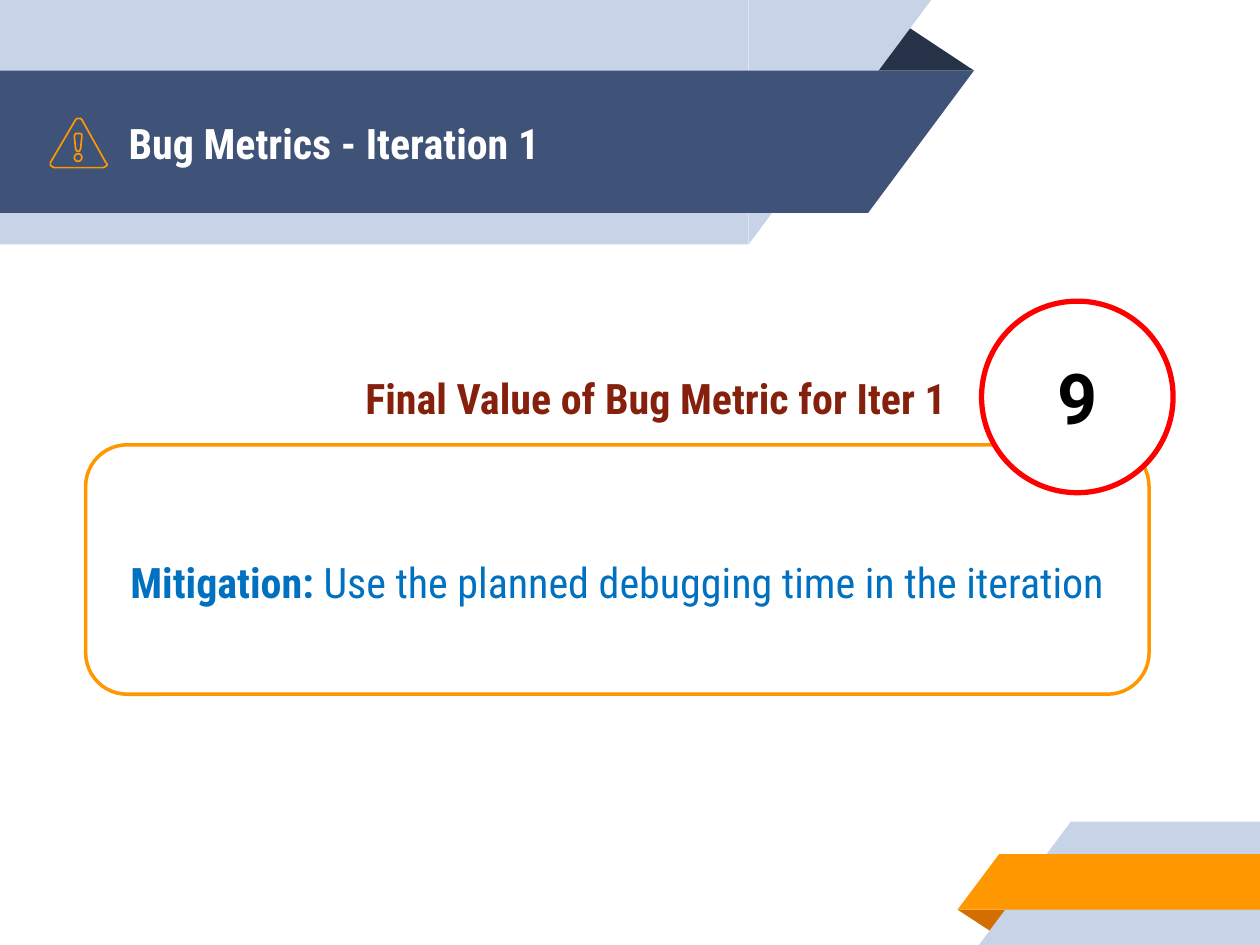
from math import cos, pi, sin

from pptx import Presentation
from pptx.dml.color import RGBColor
from pptx.enum.shapes import MSO_SHAPE
from pptx.enum.text import MSO_ANCHOR, PP_ALIGN
from pptx.util import Inches, Pt

COLORS = {
    "pale": "C7D3E6", "navy": "3F5378", "dark": "263248",
    "orange": "FF9800", "brown": "D26F00", "white": "FFFFFF",
    "blue": "0070C0", "maroon": "85200C", "red": "FF0000", "black": "000000",
}
CONDENSED = "Roboto Condensed"
FOLD_APEX = 0.324


def color(name):
    return RGBColor.from_string(COLORS[name])


def add_shape(slide, kind, box, fill, line=None, line_width=0):
    shape = slide.shapes.add_shape(kind, *map(Inches, box))
    shape.shadow.inherit = False
    shape.fill.solid()
    shape.fill.fore_color.rgb = color(fill)
    if line:
        shape.line.color.rgb = color(line)
        shape.line.width = Pt(line_width)
    else:
        shape.line.fill.background()
    return shape


def add_band(slide, box, slant, fill, from_left):
    """A bar with a slanted inner end, running in from the left or right edge."""
    left, top, width, height = box
    bar_left, slant_left = (left, left + width - slant) if from_left else (left + slant, left)
    bar = add_shape(slide, MSO_SHAPE.RECTANGLE, (bar_left, top, width - slant, height), fill)
    end = add_shape(slide, MSO_SHAPE.RIGHT_TRIANGLE, (slant_left, top, slant, height), fill)
    for part in (bar, end):
        part._element.spPr.xfrm.set("flipH", "1")
        part.rotation = 180 if from_left else 0


def add_fold(slide, box, fill, rotation=0):
    fold = add_shape(slide, MSO_SHAPE.ISOSCELES_TRIANGLE, box, fill)
    fold.adjustments[0] = FOLD_APEX
    fold.rotation = rotation


def write(shape, runs, size, font, ink, align=PP_ALIGN.LEFT,
          anchor=MSO_ANCHOR.MIDDLE, vertical_inset=0.13):
    """Fill a shape with one paragraph of (text, bold) runs."""
    frame = shape.text_frame
    frame.word_wrap = True
    frame.vertical_anchor = anchor
    frame.margin_left = frame.margin_right = Inches(0.13)
    frame.margin_top = frame.margin_bottom = Inches(vertical_inset)
    paragraph = frame.paragraphs[0]
    paragraph.alignment = align
    for text, bold in runs:
        run = paragraph.add_run()
        run.text = text
        run.font.size = Pt(size)
        run.font.name = font
        run.font.bold = bold
        run.font.color.rgb = color(ink)
    return paragraph


def add_text(slide, box, text, ink, anchor):
    text_box = slide.shapes.add_textbox(*map(Inches, box))
    write(text_box, [(text, True)], 24, CONDENSED, ink, anchor=anchor)


def add_warning_icon(slide, box):
    left, top, width, height = box
    triangle = [(0.44, 0.35), (0.25, 0.01), (0.24, 0), (0.21, 0), (0.2, 0.01),
                (0, 0.35), (0, 0.37), (0.01, 0.38), (0.03, 0.39),
                (0.42, 0.39), (0.44, 0.38), (0.45, 0.37), (0.45, 0.36)]
    dot = [(0.22 + 0.03 * cos(step * pi / 8), 0.31 + 0.03 * sin(step * pi / 8))
           for step in range(16)]
    stroke = [(0.25, 0.14), (0.24, 0.24), (0.23, 0.26), (0.21, 0.26), (0.2, 0.24),
              (0.19, 0.14), (0.2, 0.12), (0.21, 0.12), (0.24, 0.12), (0.25, 0.13)]
    outlines = [[(Inches(left + x * width / 0.45), Inches(top + y * height / 0.39))
                 for x, y in outline] for outline in (triangle, dot, stroke)]
    builder = slide.shapes.build_freeform(*outlines[0][0])
    builder.add_line_segments(outlines[0][1:], close=True)
    for outline in outlines[1:]:
        builder.move_to(*outline[0])
        builder.add_line_segments(outline[1:], close=True)
    icon = builder.convert_to_shape()
    icon.shadow.inherit = False
    icon.fill.background()
    icon.line.color.rgb = color("orange")
    icon.line.width = Pt(0.96)


def add_header(slide, box):
    left, top, width, height = box
    add_fold(slide, (left + width - 0.85, top + 0.18, 0.85, 0.38), "dark")
    add_band(slide, (left, top, 7.39, height), 1.45, "pale", from_left=True)
    add_band(slide, (left, top + 0.56, width, 1.13), 0.84, "navy", from_left=True)
    add_text(slide, (left + 0.89, top + 0.57, 6.01, 1.12),
             "Bug Metrics - Iteration 1", "white", MSO_ANCHOR.MIDDLE)
    add_warning_icon(slide, (left + 0.4, top + 0.94, 0.45, 0.39))


def add_corner(slide, box):
    left, top, width, height = box
    add_fold(slide, (left, top + 0.7, 0.43, 0.19), "brown", rotation=180)
    add_band(slide, (left + 0.17, top, width - 0.17, height), 0.73, "pale", from_left=False)
    add_band(slide, (left, top + 0.26, width, 0.44), 0.33, "orange", from_left=False)


def add_metric(slide, box):
    left, top, width, height = box
    card = add_shape(slide, MSO_SHAPE.ROUNDED_RECTANGLE,
                     (left, top + 1.14, 8.44, height - 1.14), "white", "orange", 2)
    paragraph = write(card, [("Mitigation: ", True),
                             ("Use the planned debugging time in the iteration", False)],
                      24, CONDENSED, "blue", PP_ALIGN.CENTER, vertical_inset=0.07)
    paragraph.line_spacing = 1.5
    add_text(slide, (left + 2.09, top + 0.44, 4.9, 0.7),
             "Final Value of Bug Metric for Iter 1", "maroon", MSO_ANCHOR.TOP)
    badge = add_shape(slide, MSO_SHAPE.OVAL,
                      (left + width - 1.52, top, 1.52, 1.52), "white", "red", 3)
    write(badge, [("9", True)], 40, "Roboto", "black", PP_ALIGN.CENTER)


def main():
    presentation = Presentation()
    presentation.slide_width = Inches(10)
    presentation.slide_height = Inches(7.5)
    slide = presentation.slides.add_slide(presentation.slide_layouts[6])
    add_corner(slide, (7.6, 6.52, 2.4, 0.98))
    add_header(slide, (0, 0, 7.73, 1.94))
    add_metric(slide, (0.68, 2.39, 8.63, 3.12))
    presentation.save("out.pptx")


if __name__ == "__main__":
    main()
